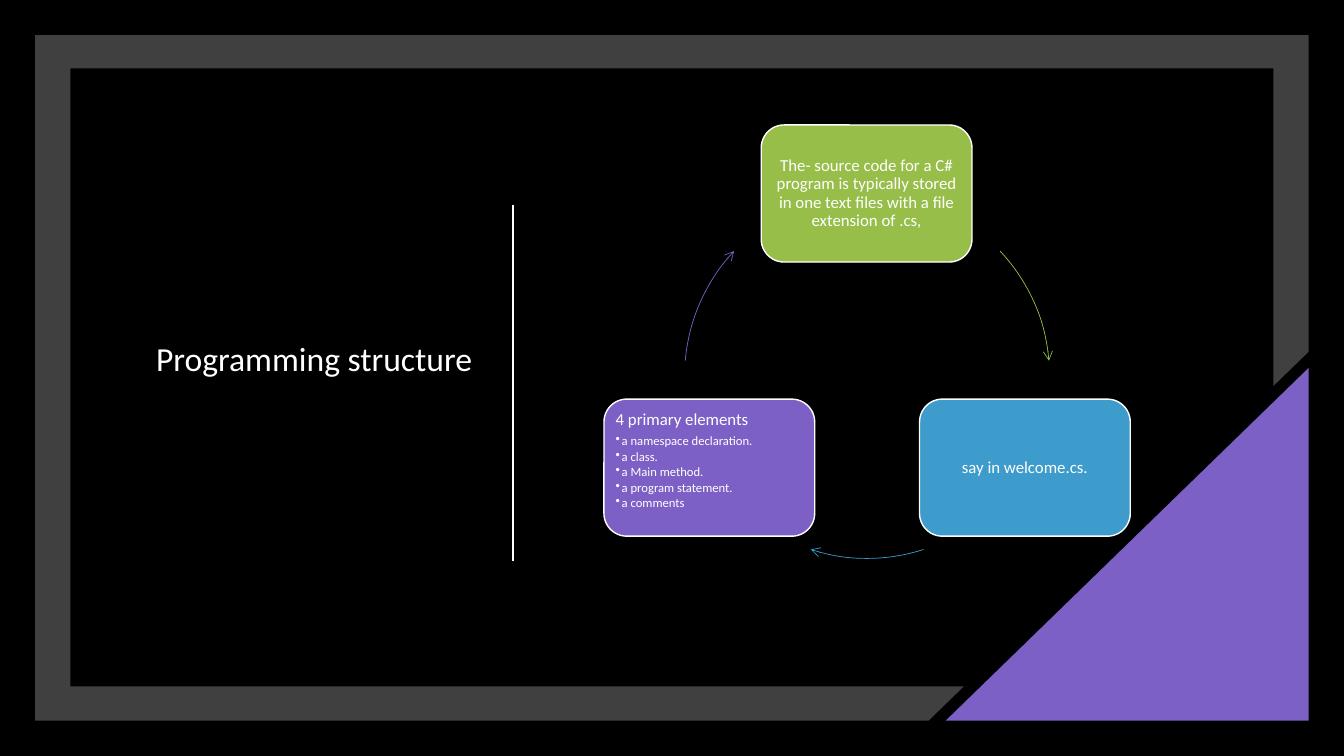
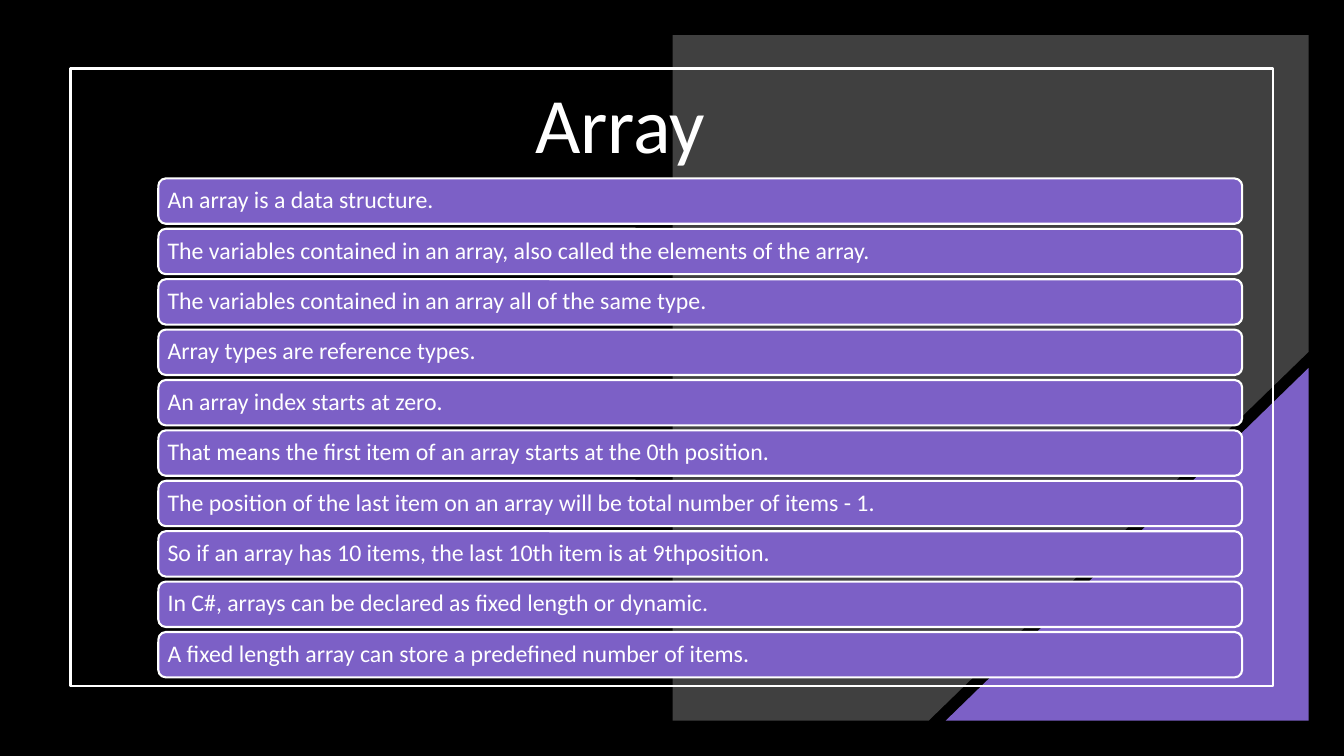
import pptx
import pptx.dml.color
import pptx.enum.shapes
import pptx.enum.text
import pptx.oxml
import pptx.oxml.ns
import pptx.util

Inches = pptx.util.Inches
Pt = pptx.util.Pt
MSO_SHAPE = pptx.enum.shapes.MSO_SHAPE
ALIGN = pptx.enum.text.PP_ALIGN
ANCHOR = pptx.enum.text.MSO_ANCHOR

COLORS = {
    "background": "000000",
    "frame": "404040",
    "white": "FFFFFF",
    "purple": "7C60C6",
    "green": "97BE49",
    "blue": "3D9CCC",
}
FONT = "Calibri"


def rgb(name):
    return pptx.dml.color.RGBColor.from_string(COLORS[name])


def write_text(shape, lines, size=12, align=ALIGN.LEFT, anchor=ANCHOR.MIDDLE,
               margin=0.05, bullets=(), bullet_size=9):
    frame = shape.text_frame
    frame.word_wrap = True
    frame.vertical_anchor = anchor
    frame.margin_left = frame.margin_right = Inches(margin)
    frame.margin_top = frame.margin_bottom = Inches(margin)
    entries = [(line, False) for line in lines] + [(line, True) for line in bullets]
    for index, (line, bulleted) in enumerate(entries):
        paragraph = frame.paragraphs[0] if index == 0 else frame.add_paragraph()
        paragraph.alignment = align
        paragraph.line_spacing = 0.9
        run = paragraph.add_run()
        run.text = line
        run.font.name = FONT
        run.font.size = Pt(bullet_size if bulleted else size)
        run.font.color.rgb = rgb("white")
        if bullets:
            paragraph.space_after = Pt(bullet_size * 0.15 if bulleted else size * 0.35)
        if bulleted:
            properties = paragraph._p.get_or_add_pPr()
            properties.set("marL", str(Inches(0.06)))
            properties.set("indent", str(-Inches(0.06)))
            bullet = pptx.oxml.parse_xml(
                f'<a:buChar {pptx.oxml.ns.nsdecls("a")} char="•"/>')
            properties.append(bullet)


presentation = pptx.Presentation()
presentation.slide_width = Inches(13.33)
presentation.slide_height = Inches(7.5)

frame_outlines = [
    [(0.35, 0.35), (12.98, 0.35), (12.98, 3.49), (12.63, 3.83), (12.63, 0.68),
     (0.7, 0.68), (0.7, 6.81), (9.56, 6.81), (9.21, 7.15), (0.35, 7.15)],
    [(6.67, 0.35), (12.98, 0.35), (12.98, 3.49), (9.21, 7.15), (6.67, 7.15)],
]
titles = [
    ("Programming structure", 24, (1.45, 3.28, 3.6, 0.6)),
    ("Array", 56, (5.21, 0.77, 4.97, 1)),
]

slides = []
for outline, (title, size, box) in zip(frame_outlines, titles):
    slide = presentation.slides.add_slide(presentation.slide_layouts[6])
    slides.append(slide)
    slide.background.fill.solid()
    slide.background.fill.fore_color.rgb = rgb("background")

    points = [(Inches(x), Inches(y)) for x, y in outline]
    builder = slide.shapes.build_freeform(*points[0])
    builder.add_line_segments(points[1:], close=True)
    band = builder.convert_to_shape()
    corner = slide.shapes.add_shape(
        MSO_SHAPE.RIGHT_TRIANGLE, Inches(9.38), Inches(3.65), Inches(3.6), Inches(3.5))
    corner._element.spPr.xfrm.set("flipH", "1")
    for shape, color in [(band, "frame"), (corner, "purple")]:
        shape.shadow.inherit = False
        shape.fill.solid()
        shape.fill.fore_color.rgb = rgb(color)
        shape.line.fill.background()

    title_box = slide.shapes.add_textbox(*map(Inches, box))
    write_text(title_box, [title], size=size, margin=0.1)

structure_slide, array_slide = slides

divider = structure_slide.shapes.add_connector(
    pptx.enum.shapes.MSO_CONNECTOR.STRAIGHT,
    Inches(5.09), Inches(2.03), Inches(5.09), Inches(5.57))
divider.line.color.rgb = rgb("white")
divider.line.width = Pt(1.5)
divider._element.spPr.append(
    pptx.oxml.parse_xml(f'<a:effectLst {pptx.oxml.ns.nsdecls("a")}/>'))

elements = ["a namespace declaration.", "a class.", "a Main method.",
            "a program statement.", "a comments"]
centered = {"align": ALIGN.CENTER}
cycle = [
    (7.55, 1.24, "green", (316.8, 355.2),
     "The- source code for a C# program is typically stored in one text files "
     "with a file extension of .cs,", centered),
    (9.12, 3.96, "blue", (72, 108), "say in welcome.cs.", centered),
    (5.99, 3.96, "purple", (184.8, 223.2), "4 primary elements",
     {"anchor": ANCHOR.TOP, "bullets": elements}),
]
for left, top, color, angles, text, text_format in cycle:
    card = structure_slide.shapes.add_shape(
        MSO_SHAPE.ROUNDED_RECTANGLE, Inches(left), Inches(top), Inches(2.09), Inches(1.36))
    card.shadow.inherit = False
    card.fill.solid()
    card.fill.fore_color.rgb = rgb(color)
    card.line.color.rgb = rgb("white")
    card.line.width = Pt(1)
    write_text(card, [text], **text_format)

    arrow = structure_slide.shapes.add_shape(
        MSO_SHAPE.ARC, Inches(6.79), Inches(1.92), Inches(3.62), Inches(3.62))
    arrow.shadow.inherit = False
    arrow.fill.background()
    for index, angle in enumerate(angles):
        arrow.adjustments[index] = angle * 0.6
    arrow.line.color.rgb = rgb(color)
    arrow.line.width = Pt(0.5)
    arrow.line._get_or_add_ln().append(
        pptx.oxml.parse_xml(f'<a:tailEnd {pptx.oxml.ns.nsdecls("a")} type="arrow"/>'))

border = array_slide.shapes.add_shape(
    MSO_SHAPE.RECTANGLE, Inches(0.7), Inches(0.68), Inches(11.93), Inches(6.13))
border.shadow.inherit = False
border.fill.background()
border.line.color.rgb = rgb("white")
border.line.width = Pt(1.5)

facts = [
    "An array is a data structure.",
    "The variables contained in an array, also called the elements of the array.",
    "The variables contained in an array all of the same type.",
    "Array types are reference types.",
    "An array index starts at zero.",
    "That means the first item of an array starts at the 0th position.",
    "The position of the last item on an array will be total number of items - 1.",
    "So if an array has 10 items, the last 10th item is at 9thposition.",
    "In C#, arrays can be declared as fixed length or dynamic.",
    "A fixed length array can store a predefined number of items.",
]
for row, fact in enumerate(facts):
    bar = array_slide.shapes.add_shape(
        MSO_SHAPE.ROUNDED_RECTANGLE,
        Inches(1.57), Inches(1.77 + 0.5 * row), Inches(10.75), Inches(0.45))
    bar.shadow.inherit = False
    bar.fill.solid()
    bar.fill.fore_color.rgb = rgb("purple")
    bar.line.color.rgb = rgb("white")
    bar.line.width = Pt(1.5)
    write_text(bar, [fact], size=17, margin=0.07)

presentation.save("out.pptx")
